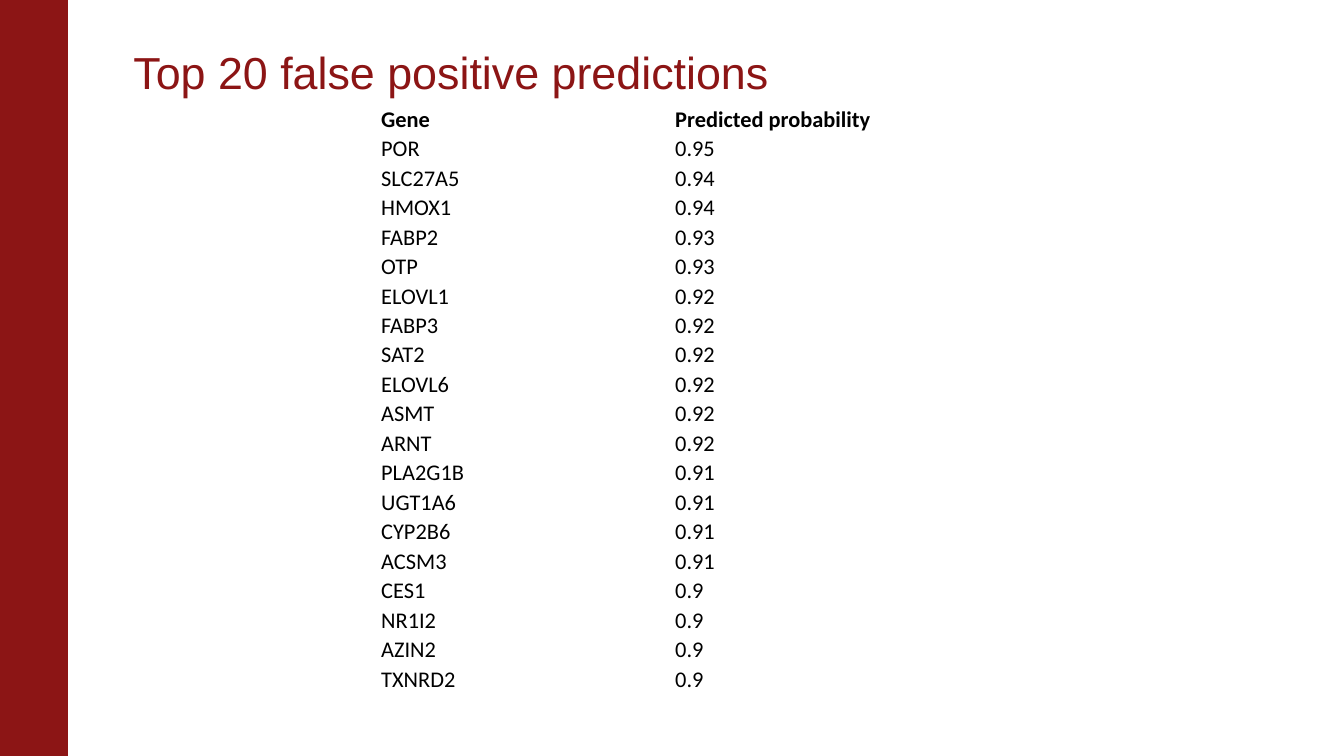
from pptx import Presentation
from pptx.dml.color import RGBColor
from pptx.enum.shapes import MSO_SHAPE
from pptx.enum.text import MSO_ANCHOR
from pptx.util import Pt

RECT = MSO_SHAPE.RECTANGLE
BOTTOM = MSO_ANCHOR.BOTTOM
RED = "8C1515"
BLACK = "000000"


def color(code):
    """Turn a hex string into a colour."""
    return RGBColor.from_string(code)


def add_run(para, text, font, size, code, bold=False):
    """Add one styled run to a paragraph."""
    run = para.add_run()
    run.text = text
    run.font.name = font
    run.font.size = Pt(size)
    run.font.bold = bold
    run.font.color.rgb = color(code)


prs = Presentation()
prs.slide_width = Pt(720)
prs.slide_height = Pt(405)
slide = prs.slides.add_slide(prs.slide_layouts[6])

# Side band
band = slide.shapes.add_shape(RECT, 0, 0, Pt(36), Pt(405))
band.shadow.inherit = False
band.fill.solid()
band.fill.fore_color.rgb = color(RED)
band.line.color.rgb = color(RED)
band.line.width = Pt(0.75)

# Title
title = slide.shapes.add_textbox(Pt(71.5), Pt(18), Pt(607), Pt(38.2))
frame = title.text_frame
frame.word_wrap = True
frame.vertical_anchor = BOTTOM
frame.margin_left = 0
frame.margin_right = Pt(7.2)
frame.margin_top = frame.margin_bottom = Pt(3.6)
para = frame.paragraphs[0]
para.line_spacing = 0.85
add_run(para, "Top 20 false positive predictions", "Arial", 24, RED)

# Gene table
rows = [
    ("Gene", "Predicted probability"),
    ("POR", "0.95"),
    ("SLC27A5", "0.94"),
    ("HMOX1", "0.94"),
    ("FABP2", "0.93"),
    ("OTP", "0.93"),
    ("ELOVL1", "0.92"),
    ("FABP3", "0.92"),
    ("SAT2", "0.92"),
    ("ELOVL6", "0.92"),
    ("ASMT", "0.92"),
    ("ARNT", "0.92"),
    ("PLA2G1B", "0.91"),
    ("UGT1A6", "0.91"),
    ("CYP2B6", "0.91"),
    ("ACSM3", "0.91"),
    ("CES1", "0.9"),
    ("NR1I2", "0.9"),
    ("AZIN2", "0.9"),
    ("TXNRD2", "0.9"),
]
widths = [157.5, 155.7]
row_h = 15.8
table = slide.shapes.add_table(
    len(rows), len(widths), Pt(203.6), Pt(55.6),
    Pt(sum(widths)), Pt(row_h * len(rows))).table
table.first_row = False
table.horz_banding = False
for col, width in zip(table.columns, widths):
    col.width = Pt(width)
for i, row in enumerate(rows):
    table.rows[i].height = Pt(row_h)
    for j, text in enumerate(row):
        cell = table.cell(i, j)
        cell.fill.background()
        cell.vertical_anchor = BOTTOM
        cell.margin_left = cell.margin_right = cell.margin_top = Pt(0.6)
        cell.margin_bottom = 0
        add_run(cell.text_frame.paragraphs[0], text, "Calibri", 12, BLACK, i == 0)

prs.save("out.pptx")
